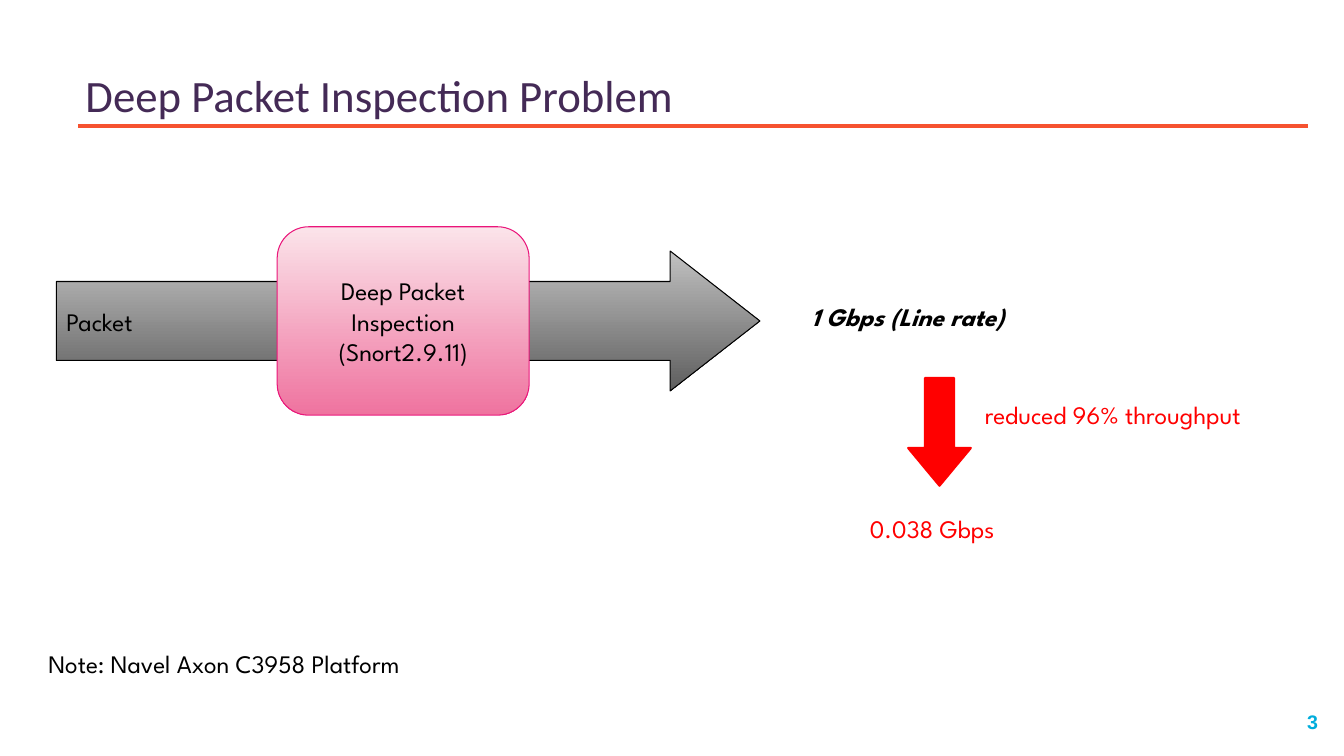
from dataclasses import dataclass
from typing import NamedTuple

from lxml.etree import SubElement
from pptx import Presentation
from pptx.dml.color import RGBColor
from pptx.enum.shapes import MSO_CONNECTOR, MSO_SHAPE
from pptx.enum.text import MSO_ANCHOR, PP_ALIGN
from pptx.oxml.ns import qn
from pptx.util import Pt


@dataclass(frozen=True)
class Theme:
    title_font: str = "Calibri"
    body_font: str = "League Spartan"
    number_font: str = "Arial"
    title_size: int = 32
    body_size: int = 18
    number_size: int = 14
    title: str = "442A56"
    rule: str = "F65230"
    text: str = "000000"
    alert: str = "FF0000"
    number: str = "00ADDC"
    flow: tuple = ("C1C1C1", "5E5E5E")
    inspection: tuple = ("FBE4EA", "EF739F")
    inspection_edge: str = "EA157A"


THEME = Theme()


class Box(NamedTuple):
    left: float
    top: float
    width: float
    height: float

    def inner(self, dx, dy, width, height):
        """Return a box offset from this box's top left corner."""
        return Box(self.left + dx, self.top + dy, width, height)

    def lengths(self):
        return [Pt(value) for value in self]


def rgb(color):
    return RGBColor.from_string(color)


def write(frame, lines, font=THEME.body_font, size=THEME.body_size, color=THEME.text,
          align=PP_ALIGN.LEFT, anchor=MSO_ANCHOR.MIDDLE, bold=False, italic=False):
    frame.word_wrap = True
    frame.vertical_anchor = anchor
    frame.text = "\n".join(lines)
    for paragraph in frame.paragraphs:
        paragraph.alignment = align
        paragraph.font.name = font
        paragraph.font.size = Pt(size)
        paragraph.font.color.rgb = rgb(color)
        paragraph.font.bold = bold
        paragraph.font.italic = italic


def add_label(slide, box, text, anchor=MSO_ANCHOR.TOP, **style):
    label = slide.shapes.add_textbox(*box.lengths())
    write(label.text_frame, [text], anchor=anchor, **style)


def add_block(slide, kind, box, fills, edge, edge_width, adjustments=()):
    """Add a preset shape, filled solid for one colour or top to bottom for two."""
    block = slide.shapes.add_shape(kind, *box.lengths())
    block.shadow.inherit = False
    if len(fills) == 1:
        block.fill.solid()
        block.fill.fore_color.rgb = rgb(fills[0])
    else:
        block.fill.gradient()
        block.fill.gradient_angle = 270
        for stop, color in zip(block.fill.gradient_stops, fills):
            stop.color.rgb = rgb(color)
    block.line.color.rgb = rgb(edge)
    block.line.width = Pt(edge_width)
    for index, value in enumerate(adjustments):
        block.adjustments[index] = value
    return block


def add_heading(slide, box):
    add_label(slide, box.inner(0, 0, 690, box.height), "Deep Packet Inspection Problem",
              anchor=MSO_ANCHOR.MIDDLE, font=THEME.title_font,
              size=THEME.title_size, color=THEME.title)
    rule_y = Pt(box.top + 50.4)
    rule = slide.shapes.add_connector(MSO_CONNECTOR.STRAIGHT, Pt(box.left + 2), rule_y,
                                      Pt(box.left + box.width), rule_y)
    rule.line.color.rgb = rgb(THEME.rule)
    rule.line.width = Pt(2.25)
    SubElement(rule._element.spPr, qn("a:effectLst"))


def add_packet_flow(slide, box):
    packet = add_block(slide, MSO_SHAPE.RIGHT_ARROW, box.inner(0, 17.3, box.width, 100),
                       THEME.flow, THEME.text, 0.75, (0.564, 0.641))
    write(packet.text_frame, ["Packet"])
    inspection = add_block(slide, MSO_SHAPE.ROUNDED_RECTANGLE,
                           box.inner(157.7, 0, 180, box.height),
                           THEME.inspection, THEME.inspection_edge, 0.75)
    write(inspection.text_frame, ["Deep Packet Inspection", "(Snort2.9.11)"],
          align=PP_ALIGN.CENTER)


def add_throughput_drop(slide, box):
    add_label(slide, box.inner(0, 0, 171, 29), "1 Gbps (Line rate)", bold=True, italic=True)
    add_block(slide, MSO_SHAPE.DOWN_ARROW, box.inner(76.3, 58.3, 44.8, 77),
              [THEME.alert], THEME.alert, 1.5, (0.464, 0.601))
    add_label(slide, box.inner(124, 70, 235, 29), "reduced 96% throughput", color=THEME.alert)
    add_label(slide, box.inner(41.8, 151.2, 113, 29), "0.038 Gbps", color=THEME.alert)


def add_slide_number(slide, box):
    add_label(slide, box, "3", font=THEME.number_font, size=THEME.number_size,
              color=THEME.number, align=PP_ALIGN.CENTER, bold=True)


def main():
    deck = Presentation()
    deck.slide_width, deck.slide_height = Pt(960), Pt(540)
    slide = deck.slides.add_slide(deck.slide_layouts[6])
    add_slide_number(slide, Box(915, 503.3, 45, 24.5))
    add_heading(slide, Box(54, 39.6, 880, 55.4))
    add_packet_flow(slide, Box(40.3, 162, 502.5, 134.6))
    add_throughput_drop(slide, Box(572.4, 211.7, 359, 180))
    add_label(slide, Box(27.4, 459.4, 295, 29), "Note: Navel Axon C3958 Platform")
    deck.save("out.pptx")


if __name__ == "__main__":
    main()
